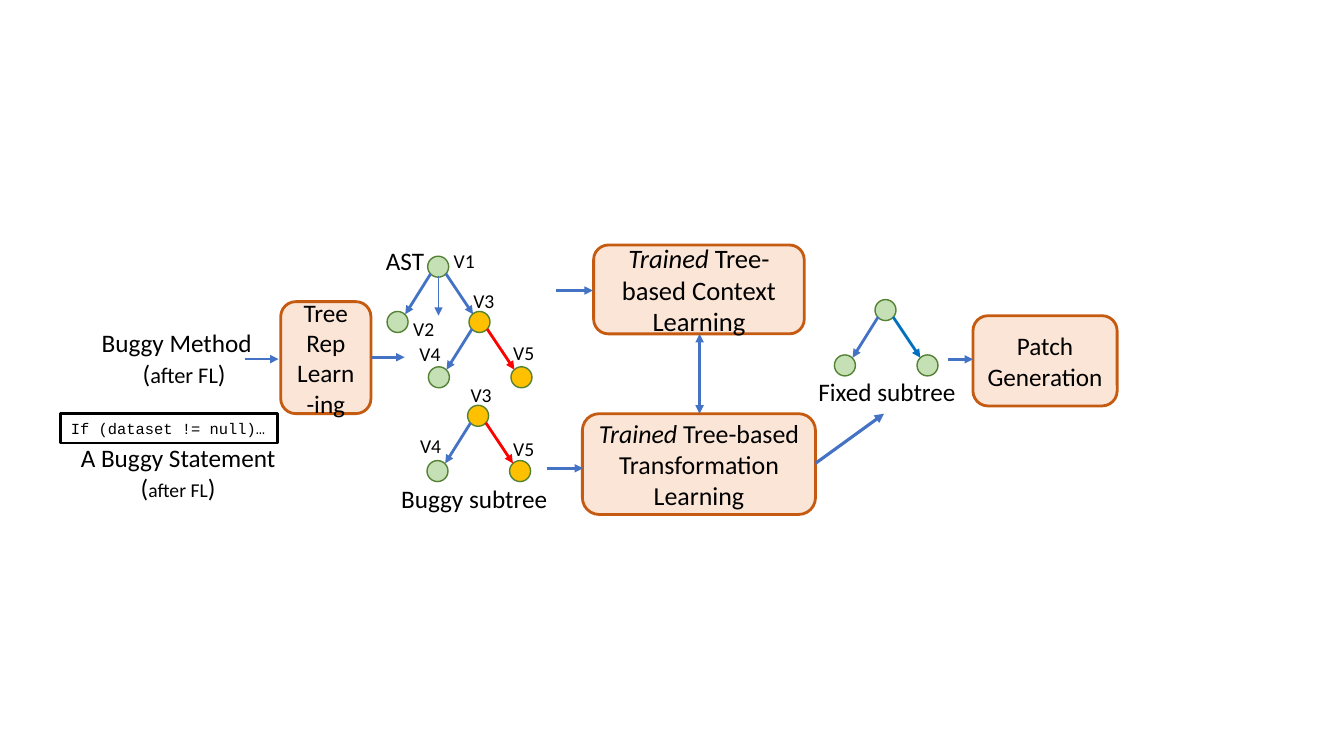
"""Builds the slide showing the tree-based program repair pipeline."""
from dataclasses import dataclass

from lxml import etree
from pptx import Presentation, util as u
from pptx.dml.color import RGBColor
from pptx.enum import shapes, text
from pptx.oxml.ns import qn


@dataclass(frozen=True)
class Theme:
    ink: str = "000000"
    blue: str = "4472C4"
    fixed: str = "0070C0"
    red: str = "FF0000"
    green: str = "C5E0B4"
    yellow: str = "FFC000"
    node_line: str = "548235"
    box: str = "FBE5D6"
    box_line: str = "C55A11"
    font: str = "Calibri"
    mono: str = "Courier New"
    body: float = 18
    node_label: float = 14
    code: float = 11
    node: float = 15
    stroke: float = 2


class Diagram:
    def __init__(self, slide, theme):
        self.s, self.t = slide, theme

    def fill_text(self, sp, paras, size, align=None, anchor=text.MSO_ANCHOR.TOP, font=None):
        tf = sp.text_frame
        tf.word_wrap = True
        tf.vertical_anchor = anchor
        for i, runs in enumerate(paras):
            p = tf.add_paragraph() if i else tf.paragraphs[0]
            p.alignment = align[i] if align else text.PP_ALIGN.LEFT
            for words, own_size, italic in runs:
                r = p.add_run()
                r.text = words
                r.font.name = font or self.t.font
                r.font.size = u.Pt(own_size or size)
                r.font.italic = italic
                r.font.color.rgb = RGBColor.from_string(self.t.ink)

    def shape(self, kind, x, y, w, h, fill, line, width):
        sp = self.s.shapes.add_shape(kind, u.Pt(x), u.Pt(y), u.Pt(w), u.Pt(h))
        sp.shadow.inherit = False
        if fill:
            sp.fill.solid()
            sp.fill.fore_color.rgb = RGBColor.from_string(fill)
        else:
            sp.fill.background()
        sp.line.color.rgb = RGBColor.from_string(line)
        sp.line.width = u.Pt(width)
        return sp

    def label(self, x, y, w, h, paras, size=None, align=None):
        sp = self.s.shapes.add_textbox(u.Pt(x), u.Pt(y), u.Pt(w), u.Pt(h))
        self.fill_text(sp, paras, size or self.t.body, align)

    def box(self, x, y, w, h, paras, size=None):
        sp = self.shape(shapes.MSO_SHAPE.ROUNDED_RECTANGLE, x, y, w, h,
                        self.t.box, self.t.box_line, self.t.stroke)
        self.fill_text(sp, paras, size or self.t.body,
                       [text.PP_ALIGN.CENTER] * len(paras), text.MSO_ANCHOR.MIDDLE)

    def code(self, x, y, w, h, words):
        sp = self.shape(shapes.MSO_SHAPE.RECTANGLE, x, y, w, h,
                        None, self.t.ink, self.t.stroke)
        self.fill_text(sp, [[run(words)]], self.t.code, font=self.t.mono)

    def arrow(self, x1, y1, x2, y2, color=None, width=None, both=False):
        c = self.s.shapes.add_connector(shapes.MSO_CONNECTOR.STRAIGHT,
                                        u.Pt(x1), u.Pt(y1), u.Pt(x2), u.Pt(y2))
        c.line.color.rgb = RGBColor.from_string(color or self.t.blue)
        c.line.width = u.Pt(width or self.t.stroke)
        ln = c._element.spPr.find(qn("a:ln"))
        for end in ("a:headEnd", "a:tailEnd") if both else ("a:tailEnd",):
            etree.SubElement(ln, qn(end)).set("type", "triangle")
        etree.SubElement(c._element.spPr, qn("a:effectLst"))

    def node(self, x, y, color):
        self.shape(shapes.MSO_SHAPE.OVAL, x, y, self.t.node, self.t.node,
                   color, self.t.node_line, 1)

    def tree(self, x, y, root, right, right_edge):
        self.node(x, y, root)
        self.node(x - 29, y + 39.5, self.t.green)
        if right:
            self.node(x + 30, y + 39.5, right)
        self.arrow(x + 2.2, y + 12.5, x - 16, y + 41.5)
        self.arrow(x + 13, y + 12.5, x + 32.4, y + 41.5, right_edge)


def run(words, size=None, italic=False):
    return words, size, italic


def main():
    prs = Presentation()
    prs.slide_width, prs.slide_height = u.Pt(960), u.Pt(540)
    t = Theme()
    d = Diagram(prs.slides.add_slide(prs.slide_layouts[6]), t)
    left, center = text.PP_ALIGN.LEFT, text.PP_ALIGN.CENTER

    d.tree(334, 289.5, t.yellow, t.yellow, t.red)
    d.tree(305.5, 183, t.green, None, t.blue)
    d.tree(335, 222.5, t.yellow, t.yellow, t.red)
    d.tree(625, 214, t.green, t.green, t.fixed)
    d.arrow(313.2, 197.5, 313.2, 225.5, width=1)

    d.box(200.5, 215.5, 64.5, 80, [[run("Tree")], [run("Rep")], [run("Learn-ing")]])
    d.box(424, 175, 150.5, 63.5,
          [[run("Trained", italic=True), run(" Tree-based Context Learning")]], 19)
    d.box(416, 295.5, 166.5, 72,
          [[run("Trained", italic=True), run(" Tree-based Transformation Learning")]], 18.5)
    d.box(695, 225.5, 103, 64.5, [[run("Patch Generation")]])

    for ends in ((175, 256.5, 199, 256.5), (265, 255.2, 289, 255.2),
                 (397.5, 207.5, 423.5, 207.5), (390.5, 334.5, 416.5, 334.5),
                 (677.5, 256.7, 695, 256.7)):
        d.arrow(*ends)
    d.arrow(582.5, 331, 631.5, 295.5, width=2.25)
    d.arrow(499.7, 238.5, 499.7, 295.5, both=True)

    d.label(65.5, 230.5, 132, 51,
            [[run("Buggy Method")], [run("("), run("after FL", 16), run(")")]],
            align=[left, center])
    d.code(43.5, 295.5, 155, 21, "If (dataset != null)…")
    d.label(26, 312.5, 202.5, 51,
            [[run("A Buggy Statement")], [run("("), run("after FL", 14), run(")")]],
            align=[center, center])
    for x, y, w, words in ((268.5, 172, 132, "AST"),
                           (279.5, 341.5, 153, "Buggy subtree"),
                           (577.5, 265.5, 117, "Fixed subtree")):
        d.label(x, y, w, 29, [[run(words)]])
    for x, y, words in ((317, 174, "V1"), (288, 222.5, "V2"), (331, 203, "V3"),
                        (292.5, 240.5, "V4"), (359.5, 239.8, "V5"),
                        (329, 270, "V3"), (293, 306.7, "V4"), (359.5, 308.2, "V5")):
        d.label(x, y, 39.5, 24.5, [[run(words)]], t.node_label)

    prs.save("out.pptx")


if __name__ == "__main__":
    main()
